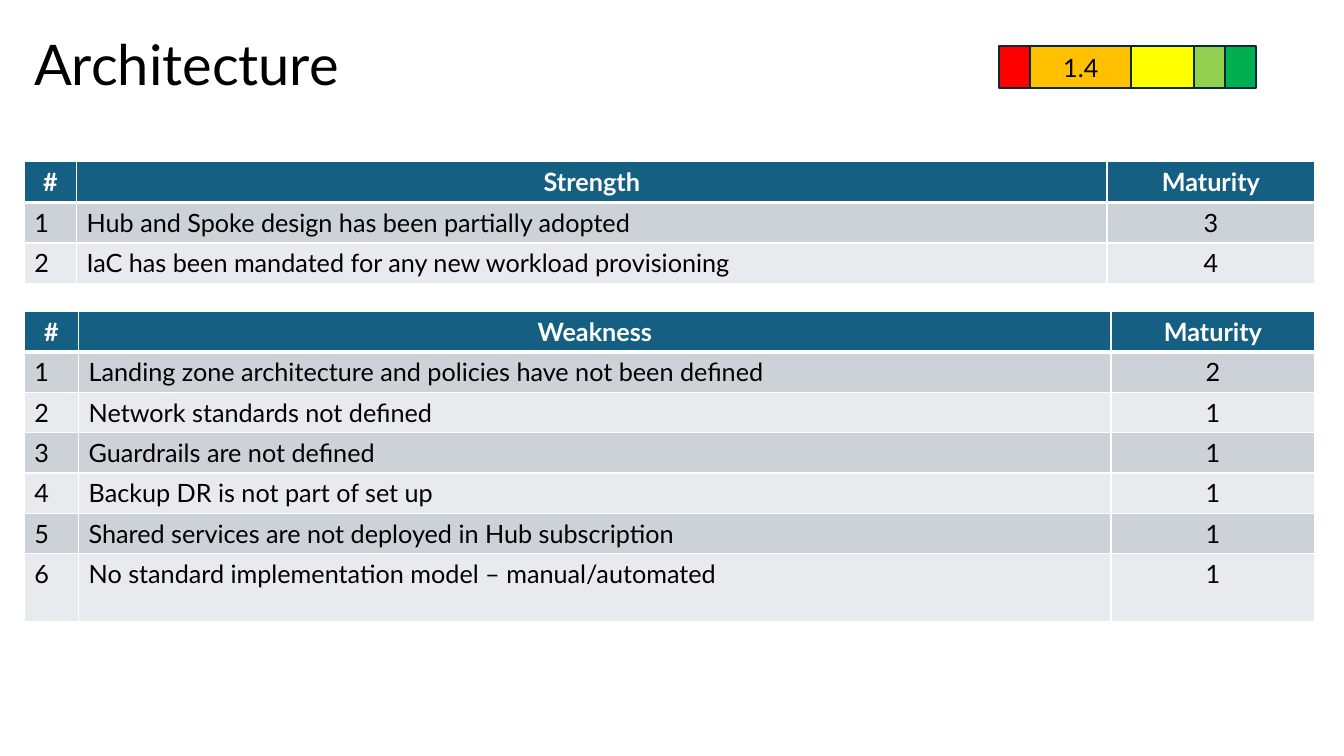
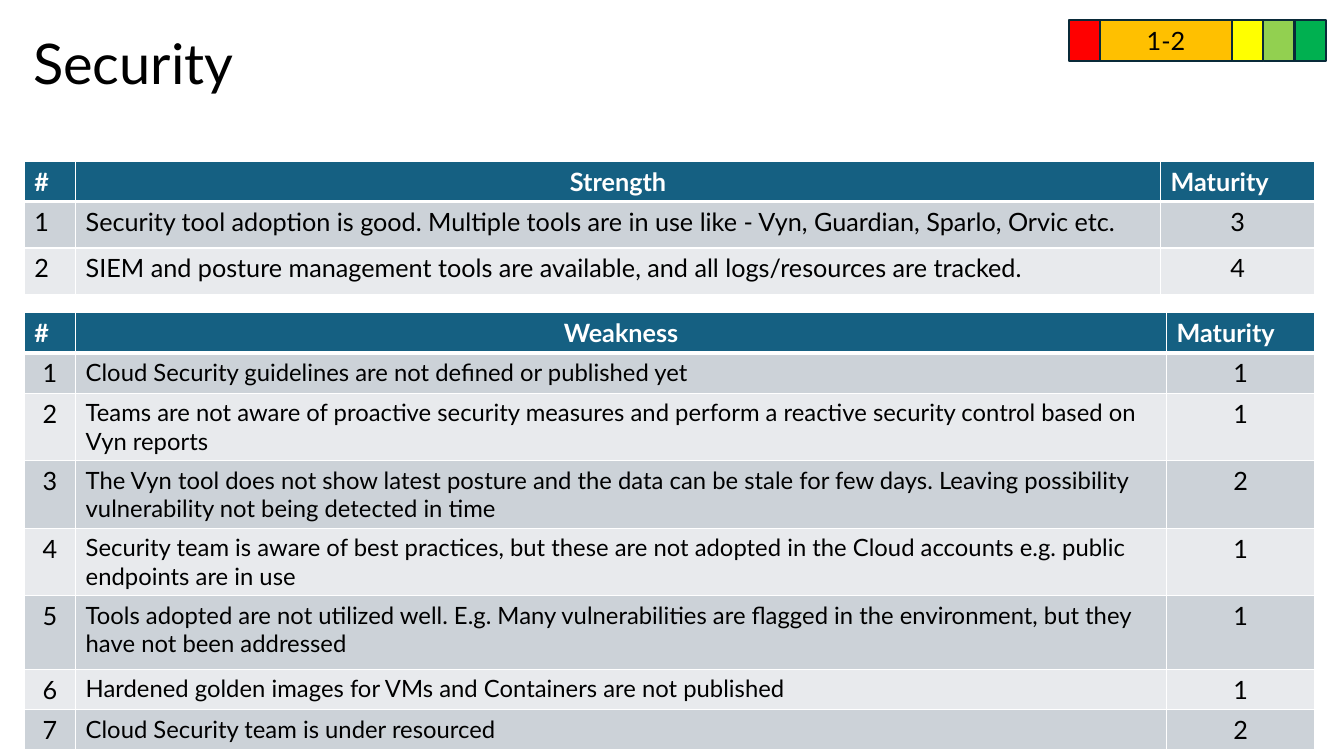
from lxml.etree import SubElement
from pptx import Presentation
from pptx.dml.color import RGBColor as Rgb
from pptx.enum.shapes import MSO_SHAPE as Preset
from pptx.enum.text import MSO_ANCHOR as Anchor, PP_ALIGN as Align
from pptx.oxml.ns import qn
from pptx.util import Inches, Pt

THEME = {
    "font": "Lato",
    "text": "000000",
    "header": "156082",
    "header_text": "FFFFFF",
    "bands": ("CCD2D8", "E8EAED"),
    "border": "FFFFFF",
    "scale_line": "092A39",
    "scale": ("FF0000", "FFC000", "FFFF00", "92D050", "00B050"),
    "title_size": 40,
    "body_size": 18,
    "compact_size": 17,
    "border_width": 1,
    "header_rule": 3,
    "scale_width": 1.5,
}
TABLE_LEFT = 0.24
SCALE_STEP = 0.31
SCALE_WIDTH, SCALE_HEIGHT = 1.31, 0.41
RATED_LEVEL = 1
SCALE_BACK_TO_FRONT = (4, 3, 0, 2, RATED_LEVEL)

SLIDES = [
    {
        "title": "Architecture",
        "title_box": (0.24, 0.07, 10.11, 1.2),
        "rating": {"label": "1.4", "left": 9.91, "top": 0.46, "width": 1},
        "tables": [
            {
                "heading": "Strength",
                "top": 1.6,
                "columns": (0.52, 10.22, 2.06),
                "heights": (0.41, 0.4, 0.4),
                "side_heading_align": Align.CENTER,
                "number_align": Align.LEFT,
                "finding_size": THEME["body_size"],
                "findings": [
                    ("Hub and Spoke design has been partially adopted", 3),
                    ("IaC has been mandated for any new workload provisioning", 4),
                ],
            },
            {
                "heading": "Weakness",
                "top": 3.09,
                "columns": (0.54, 10.24, 2.02),
                "heights": (0.4, 0.4, 0.4, 0.4, 0.4, 0.4, 0.67),
                "side_heading_align": Align.CENTER,
                "number_align": Align.LEFT,
                "finding_size": THEME["body_size"],
                "findings": [
                    ("Landing zone architecture and policies have not been defined", 2),
                    ("Network standards not defined", 1),
                    ("Guardrails are not defined", 1),
                    ("Backup DR is not part of set up", 1),
                    ("Shared services are not deployed in Hub subscription", 1),
                    ("No standard implementation model – manual/automated", 1),
                ],
            },
        ],
    },
    {
        "title": "Security",
        "title_box": (0.23, 0.22, 3.22, 0.88),
        "rating": {"label": "1-2", "left": 10.6, "top": 0.2, "width": 1.31},
        "tables": [
            {
                "heading": "Strength",
                "top": 1.6,
                "columns": (0.51, 10.76, 1.53),
                "heights": (0.4, 0.46, 0.46),
                "side_heading_align": Align.LEFT,
                "number_align": Align.LEFT,
                "finding_size": THEME["body_size"],
                "findings": [
                    ("Security tool adoption is good. Multiple tools are in use like - "
                     "Vyn, Guardian, Sparlo, Orvic etc.", 3),
                    ("SIEM and posture management tools are available, and all "
                     "logs/resources are tracked.", 4),
                ],
            },
            {
                "heading": "Weakness",
                "top": 3.1,
                "columns": (0.51, 10.82, 1.47),
                "heights": (0.4, 0.4, 0.67, 0.67, 0.67, 0.73, 0.4, 0.4),
                "side_heading_align": Align.LEFT,
                "number_align": Align.CENTER,
                "finding_size": THEME["compact_size"],
                "findings": [
                    ("Cloud Security guidelines are not defined or published yet", 1),
                    ("Teams are not aware of proactive security measures and perform a "
                     "reactive security control based on Vyn reports", 1),
                    ("The Vyn tool does not show latest posture and the data can be stale "
                     "for few days. Leaving possibility vulnerability not being detected "
                     "in time", 2),
                    ("Security team is aware of best practices, but these are not adopted "
                     "in the Cloud accounts e.g. public endpoints are in use", 1),
                    ("Tools adopted are not utilized well. E.g. Many vulnerabilities are "
                     "flagged in the environment, but they have not been addressed", 1),
                    ("Hardened golden images for VMs and Containers are not published", 1),
                    ("Cloud Security team is under resourced", 2),
                ],
            },
        ],
    },
]


def write(frame, text, size, align=Align.LEFT, color=THEME["text"], bold=False):
    paragraph = frame.paragraphs[0]
    paragraph.alignment = align
    run = paragraph.add_run()
    run.text = text
    font_format = {"name": THEME["font"], "size": Pt(size), "bold": bold}
    for attribute, value in font_format.items():
        setattr(run.font, attribute, value)
    run.font.color.rgb = Rgb.from_string(color)
    return paragraph


def add_borders(cell, row_index):
    thin, thick = THEME["border_width"], THEME["header_rule"]
    widths = {
        "a:lnL": thin,
        "a:lnR": thin,
        "a:lnT": thick if row_index == 1 else thin,
        "a:lnB": thick if row_index == 0 else thin,
    }
    properties = cell._tc.get_or_add_tcPr()
    for side, width in widths.items():
        line = SubElement(properties, qn(side), w=str(Pt(width)))
        solid = SubElement(line, qn("a:solidFill"))
        SubElement(solid, qn("a:srgbClr"), val=THEME["border"])


deck = Presentation()
deck.slide_width, deck.slide_height = Inches(13.33), Inches(7.5)

for content in SLIDES:
    slide = deck.slides.add_slide(deck.slide_layouts[6])

    title = slide.shapes.add_textbox(*map(Inches, content["title_box"])).text_frame
    title.word_wrap = True
    title.vertical_anchor = Anchor.MIDDLE
    write(title, content["title"], THEME["title_size"]).line_spacing = 0.9

    rating = content["rating"]
    scale = slide.shapes.add_group_shape()
    for level in SCALE_BACK_TO_FRONT:
        rated = level == RATED_LEVEL
        band = scale.shapes.add_shape(
            Preset.RECTANGLE,
            Inches(rating["left"] + level * SCALE_STEP),
            Inches(rating["top"]),
            Inches(rating["width"] if rated else SCALE_WIDTH),
            Inches(SCALE_HEIGHT),
        )
        band.shadow.inherit = False
        band.fill.solid()
        band.fill.fore_color.rgb = Rgb.from_string(THEME["scale"][level])
        band.line.color.rgb = Rgb.from_string(THEME["scale_line"])
        band.line.width = Pt(THEME["scale_width"])
        if rated:
            band.text_frame.vertical_anchor = Anchor.MIDDLE
            write(band.text_frame, rating["label"], THEME["body_size"], Align.CENTER)

    for section in content["tables"]:
        columns, heights = section["columns"], section["heights"]
        table = slide.shapes.add_table(
            len(heights), len(columns),
            Inches(TABLE_LEFT), Inches(section["top"]),
            Inches(sum(columns)), Inches(sum(heights)),
        ).table
        table.horz_banding = False
        for column, width in zip(table.columns, columns):
            column.width = Inches(width)
        for row, height in zip(table.rows, heights):
            row.height = Inches(height)

        rows = [("#", section["heading"], "Maturity")]
        for number, (finding, maturity) in enumerate(section["findings"], 1):
            rows.append((str(number), finding, str(maturity)))

        side = section["side_heading_align"]
        header_aligns = (side, Align.CENTER, side)
        body_aligns = (section["number_align"], Align.LEFT, Align.CENTER)
        body_sizes = (THEME["body_size"], section["finding_size"], THEME["body_size"])
        for row_index, texts in enumerate(rows):
            for column_index, text in enumerate(texts):
                cell = table.cell(row_index, column_index)
                add_borders(cell, row_index)
                cell.fill.solid()
                if row_index == 0:
                    fill = THEME["header"]
                    write(cell.text_frame, text, THEME["body_size"],
                          header_aligns[column_index], THEME["header_text"], True)
                else:
                    fill = THEME["bands"][(row_index - 1) % 2]
                    write(cell.text_frame, text, body_sizes[column_index],
                          body_aligns[column_index])
                cell.fill.fore_color.rgb = Rgb.from_string(fill)

deck.save("out.pptx")
